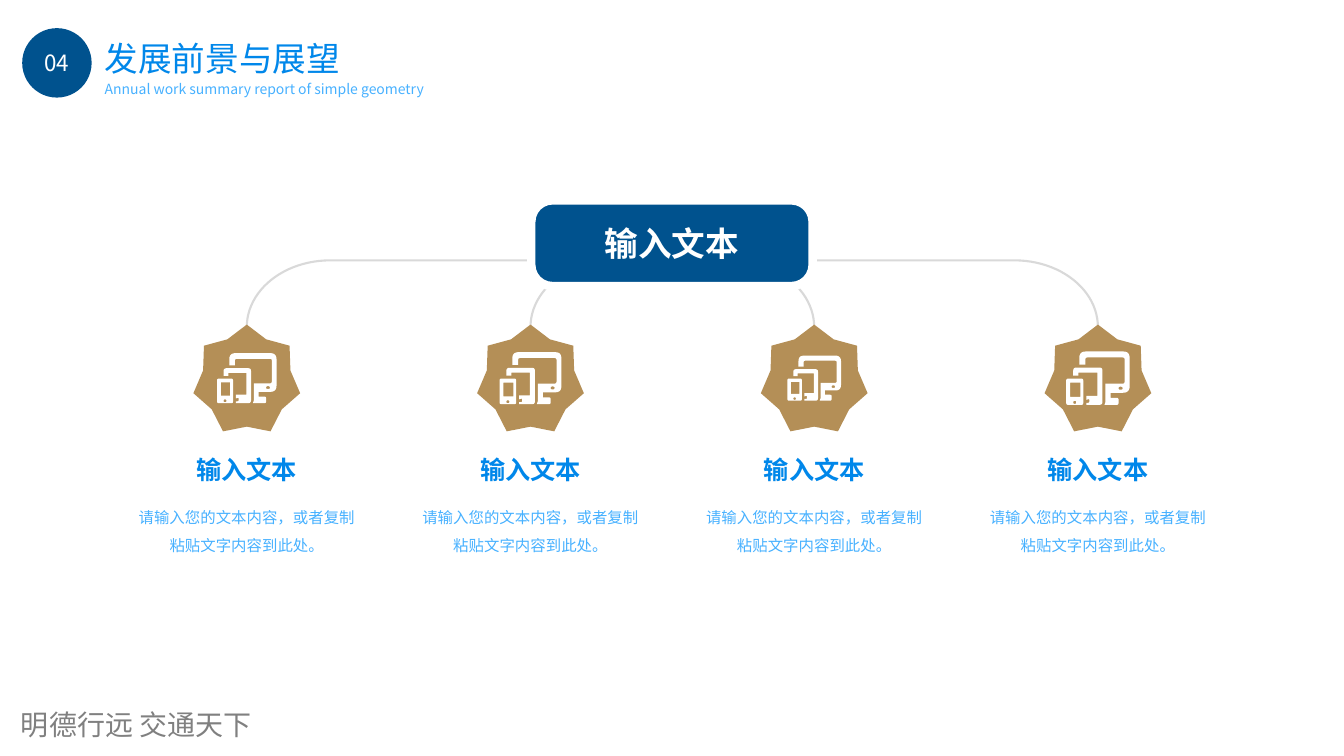
from dataclasses import dataclass

from lxml import etree
from pptx import Presentation
from pptx.dml.color import RGBColor
from pptx.enum.shapes import MSO_SHAPE
from pptx.enum.text import MSO_ANCHOR, PP_ALIGN
from pptx.oxml.ns import qn
from pptx.util import Cm, Pt

STAR, BRACKET = MSO_SHAPE.STAR_7_POINT, MSO_SHAPE.RIGHT_BRACKET
ROUNDED, OVAL = MSO_SHAPE.ROUNDED_RECTANGLE, MSO_SHAPE.OVAL
LEFT, CENTER = PP_ALIGN.LEFT, PP_ALIGN.CENTER
TOP, MIDDLE = MSO_ANCHOR.TOP, MSO_ANCHOR.MIDDLE


@dataclass(frozen=True)
class Theme:
    navy: str = "00528E"
    blue: str = "0087EA"
    sky: str = "47B1FF"
    gold: str = "B48F57"
    rule: str = "D9D9D9"
    gray: str = "808080"
    white: str = "FFFFFF"
    font: str = "Noto Sans CJK SC"
    footer_font: str = "Noto Sans CJK JP"
    heading: int = 24
    footer: int = 20
    card_title: int = 18
    number: int = 16
    body: int = 11
    subtitle: int = 10


THEME = Theme()

# Columns, in cm
FIRST_CENTER, COLUMN_STEP = 6.22, 7.15
STAR_SIZE, STAR_TOP, ICON_MIDDLE = 2.69, 8.18, 9.53
CARD_WIDTH = 6.3
ICON_WIDTHS = (1.5, 1.56, 1.35, 1.6)

# Device icon on a 63 x 53 grid: corners as (x, y, rounding radius)
ICON_GRID = (63, 53)
FINENESS = 100


def rectangle(left, top, right, bottom, radius=0):
    return [(left, top, radius), (right, top, radius),
            (right, bottom, radius), (left, bottom, radius)]


PHONE = rectangle(0, 27, 17, 53, 2)
PHONE_SCREEN = rectangle(4, 31, 14, 45)
PHONE_BUTTON = rectangle(7, 49, 10, 52, 1.5)
MONITOR_BUTTON = rectangle(52, 35, 56, 38, 1.5)
TABLET = [(7, 16, 3), (36, 16, 3), (36, 53, 3), (20, 53, 0), (20, 51, 0),
          (23, 51, 1.5), (23, 47, 1.5), (20, 48, 0), (20, 44, 0),
          (31, 44, 0), (31, 21, 0), (12, 21, 0), (12, 24, 0), (7, 24, 0)]
MONITOR = [(13, 0, 6.5), (63, 0, 6.5), (63, 41, 6.5), (44, 41, 0), (44, 46, 0),
           (52, 46, 2), (52, 53, 2), (38, 53, 0), (39, 50, 0), (39, 32, 0),
           (58, 32, 2), (58, 6, 2), (19, 6, 2), (19, 13, 0), (13, 13, 0)]
ICON = (PHONE, PHONE_SCREEN, PHONE_BUTTON, TABLET, MONITOR, MONITOR_BUTTON)


def color(value):
    return RGBColor.from_string(value)


def write(shape, text, *, size, ink, font=THEME.font, bold=False, align=LEFT,
          anchor=TOP, spacing=None, inset=(0.25, 0.13)):
    """Put one formatted paragraph into a shape or text box."""
    frame = shape.text_frame
    frame.word_wrap = True
    frame.vertical_anchor = anchor
    frame.margin_left = frame.margin_right = Cm(inset[0])
    frame.margin_top = frame.margin_bottom = Cm(inset[1])
    para = frame.paragraphs[0]
    para.alignment = align
    if spacing:
        para.line_spacing = spacing
    span = para.add_run()
    span.text = text
    span.font.size, span.font.bold, span.font.name = Pt(size), bold, font
    span.font.color.rgb = color(ink)
    east_asian = etree.SubElement(span.font._element, qn("a:ea"))
    east_asian.set("typeface", font)


def paint(shape, fill=None, line=None, weight=0):
    shape.shadow.inherit = False
    if fill:
        shape.fill.solid()
        shape.fill.fore_color.rgb = color(fill)
    else:
        shape.fill.background()
    if line:
        shape.line.color.rgb = color(line)
        shape.line.width = Pt(weight)
    else:
        shape.line.fill.background()


def add_label(page, text, left, top, width, height, **style):
    box = page.shapes.add_textbox(Cm(left), Cm(top), Cm(width), Cm(height))
    write(box, text, **style)


def add_preset(page, kind, left, top, width, height, adjust=None, **style):
    shape = page.shapes.add_shape(kind, Cm(left), Cm(top), Cm(width), Cm(height))
    if adjust is not None:
        shape.adjustments[0] = adjust
    paint(shape, **style)
    return shape


def add_bracket(page, center, top, span, height):
    """Draw a bracket that opens downwards."""
    shape = add_preset(page, BRACKET, center - height / 2, top + height / 2 - span / 2,
                       height, span, adjust=1.252, line=THEME.rule, weight=1.5)
    shape.rotation = 270


def round_corners(corners, steps=5):
    """Turn corners with radii into a list of outline points."""
    points = []
    for index, (x, y, radius) in enumerate(corners):
        if not radius:
            points.append((x * FINENESS, y * FINENESS))
            continue
        ends = []
        for other in (corners[index - 1], corners[(index + 1) % len(corners)]):
            dx, dy = other[0] - x, other[1] - y
            share = radius / (dx * dx + dy * dy) ** 0.5
            ends.append((x + dx * share, y + dy * share))
        for step in range(steps + 1):
            t = step / steps
            weights = ((1 - t) ** 2, 2 * t * (1 - t), t * t)
            curve = (ends[0], (x, y), ends[1])
            points.append(tuple(FINENESS * sum(w * p[axis] for w, p in zip(weights, curve))
                                for axis in (0, 1)))
    return points


def add_device_icon(page, center, middle, width):
    height = width * ICON_GRID[1] / ICON_GRID[0]
    outlines = [round_corners(corners) for corners in ICON]
    builder = page.shapes.build_freeform(
        *outlines[0][0], scale=Cm(width) / (ICON_GRID[0] * FINENESS))
    for index, outline in enumerate(outlines):
        if index:
            builder.move_to(*outline[0])
        builder.add_line_segments(outline[1:], close=True)
    icon = builder.convert_to_shape(Cm(center - width / 2), Cm(middle - height / 2))
    paint(icon, fill=THEME.white)


def add_card(page, center, icon_width):
    add_preset(page, STAR, center - STAR_SIZE / 2, STAR_TOP, STAR_SIZE, STAR_SIZE,
               adjust=0.409, fill=THEME.gold)
    add_device_icon(page, center, ICON_MIDDLE, icon_width)
    left = center - CARD_WIDTH / 2
    add_label(page, "输入文本", left, 11.25, CARD_WIDTH, 1.17, size=THEME.card_title,
              ink=THEME.blue, bold=True, align=CENTER, anchor=MIDDLE)
    add_label(page, "请输入您的文本内容，或者复制粘贴文字内容到此处。", left, 12.34,
              CARD_WIDTH, 1.85, size=THEME.body, ink=THEME.sky, align=CENTER,
              anchor=MIDDLE, spacing=1.5)


def add_header(page):
    badge = add_preset(page, OVAL, 0.56, 0.71, 1.75, 1.75, fill=THEME.navy)
    write(badge, "04", size=THEME.number, ink=THEME.white, align=CENTER,
          anchor=MIDDLE, inset=(0, 0))
    add_label(page, "发展前景与展望", 2.46, 0.86, 7.01, 1.22, size=THEME.heading,
              ink=THEME.blue, inset=(0.18, 0.1))
    add_label(page, "Annual work summary report of simple geometry", 2.46, 1.93,
              10.19, 0.61, size=THEME.subtitle, ink=THEME.sky, inset=(0.18, 0.1))


def main():
    deck = Presentation()
    deck.slide_width, deck.slide_height = Cm(33.87), Cm(19.05)
    page = deck.slides.add_slide(deck.slide_layouts[6])

    # Footer and header
    add_label(page, "明德行远 交通天下", 0.28, 17.7, 10.01, 1.12, size=THEME.footer,
              ink=THEME.gray, font=THEME.footer_font)
    add_header(page)

    # Brackets from the root to the outer and the inner columns
    middle = FIRST_CENTER + 1.5 * COLUMN_STEP
    for steps in (3, 1):
        add_bracket(page, middle, 6.56, steps * COLUMN_STEP, 1.68)

    # Four columns
    for index, icon_width in enumerate(ICON_WIDTHS):
        add_card(page, FIRST_CENTER + index * COLUMN_STEP, icon_width)

    # Root box
    root = add_preset(page, ROUNDED, 13.39, 5.05, 7.09, 2.16, adjust=0.249,
                      fill=THEME.navy, line=THEME.white, weight=6)
    write(root, "输入文本", size=THEME.heading, ink=THEME.white, bold=True,
          align=CENTER, anchor=MIDDLE)

    deck.save("out.pptx")


if __name__ == "__main__":
    main()
